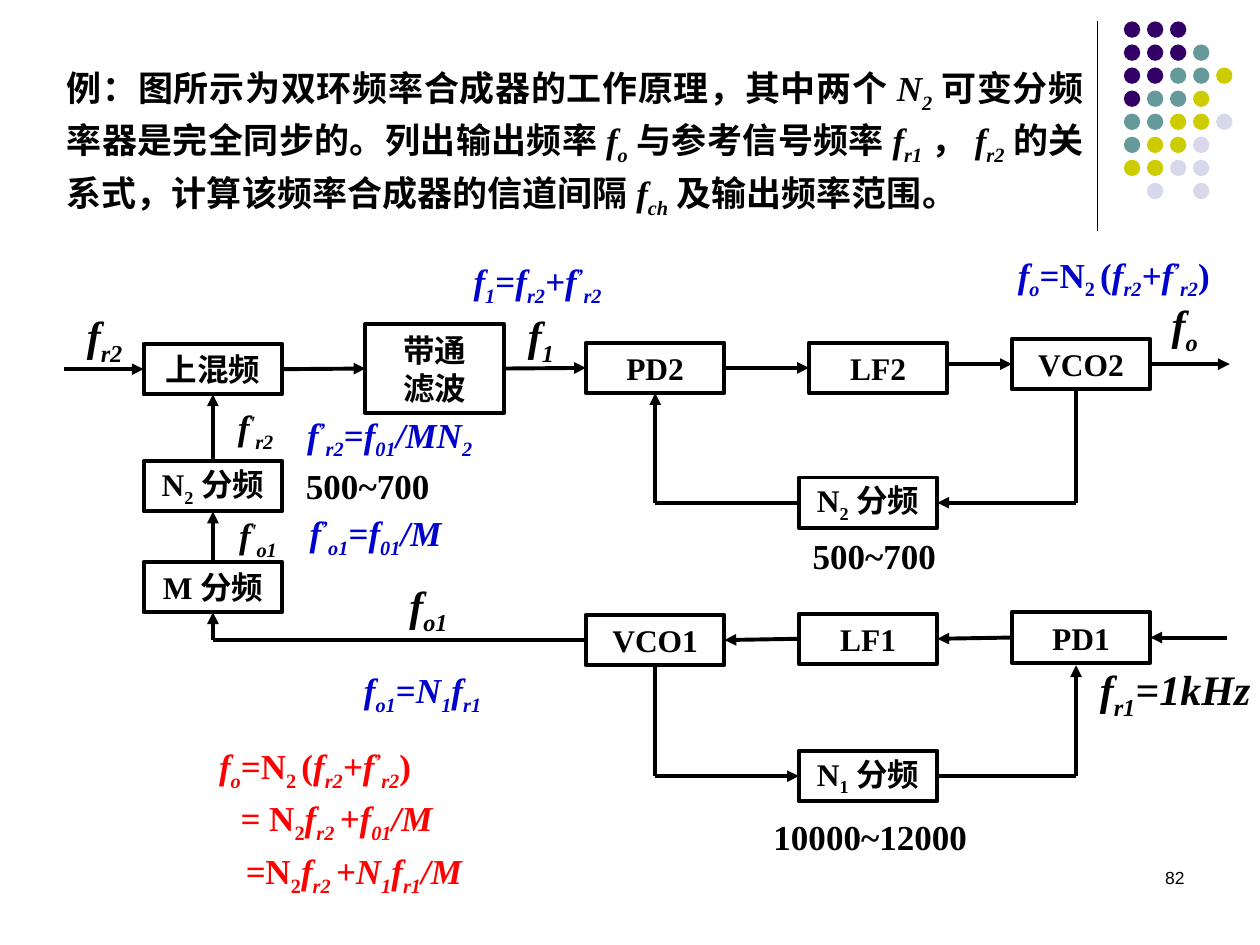
import pptx
import pptx.dml.color
import pptx.enum.shapes
import pptx.enum.text
import pptx.oxml
import pptx.oxml.ns
import pptx.util

Inches = pptx.util.Inches
Pt = pptx.util.Pt
RGBColor = pptx.dml.color.RGBColor
ALIGN = pptx.enum.text.PP_ALIGN
ANCHOR = pptx.enum.text.MSO_ANCHOR
SHAPE = pptx.enum.shapes.MSO_SHAPE
STRAIGHT = pptx.enum.shapes.MSO_CONNECTOR.STRAIGHT

BLACK = RGBColor(0x00, 0x00, 0x00)
WHITE = RGBColor(0xFF, 0xFF, 0xFF)
BLUE = RGBColor(0x00, 0x00, 0xCC)
RED = RGBColor(0xFF, 0x00, 0x00)
DOT_COLORS = {
    "P": RGBColor(0x33, 0x00, 0x66),
    "T": RGBColor(0x66, 0x99, 0x99),
    "Y": RGBColor(0xCC, 0xCC, 0x00),
    "L": RGBColor(0xD8, 0xD8, 0xEC),
}
DOT_ROWS = ["PPP", "PPPT", "PPTTY", "PTTY", "TTYYL", "TYYL", "YYLL", " L L"]
TOP, LEFT, BOTTOM, RIGHT = range(4)

# Markup in texts: *italic*, [subscript], <superscript>
BASELINES = {"[": -25000, "<": 30000, "]": 0, ">": 0}


def split_markup(text):
    """Return (text, italic, baseline) pieces of a marked-up line."""
    pieces, current, italic, baseline = [], "", False, 0
    for character in text:
        if character != "*" and character not in BASELINES:
            current += character
            continue
        if current:
            pieces.append((current, italic, baseline))
        current = ""
        if character == "*":
            italic = not italic
        else:
            baseline = BASELINES[character]
    if current:
        pieces.append((current, italic, baseline))
    return pieces


def write_text(shape, text, size=20, color=BLACK, bold=True, font="Times New Roman",
               align=ALIGN.LEFT, anchor=ANCHOR.TOP, spacing=None, indents=()):
    frame = shape.text_frame
    frame.word_wrap = True
    frame.auto_size = pptx.enum.text.MSO_AUTO_SIZE.NONE
    frame.vertical_anchor = anchor
    for index, line in enumerate(text.split("\n")):
        paragraph = frame.add_paragraph() if index else frame.paragraphs[0]
        paragraph.alignment = align
        if spacing:
            paragraph.line_spacing = Pt(spacing)
            paragraph.space_before = Pt(0)
        if indents:
            paragraph._p.get_or_add_pPr().set("marL", str(Inches(indents[index])))
        for piece, italic, baseline in split_markup(line):
            run = paragraph.add_run()
            run.text = piece
            run.font.name = font
            run.font.size = Pt(size)
            run.font.bold = bold
            run.font.italic = italic
            run.font.color.rgb = color
            if baseline:
                run._r.get_or_add_rPr().set("baseline", str(baseline))


def add_text(slide, text, left, top, width, height, **text_format):
    box = slide.shapes.add_textbox(Inches(left), Inches(top), Inches(width), Inches(height))
    write_text(box, text, **text_format)


def add_line(slide, start, end, width=2.25, arrow=False):
    """Draw a line; each end is an (x, y) point or a (shape, side) pair."""
    points = [(0, 0) if hasattr(place[0], "shape_type") else place for place in (start, end)]
    (x1, y1), (x2, y2) = points
    line = slide.shapes.add_connector(STRAIGHT, Inches(x1), Inches(y1), Inches(x2), Inches(y2))
    if hasattr(start[0], "shape_type"):
        line.begin_connect(*start)
    if hasattr(end[0], "shape_type"):
        line.end_connect(*end)
    line.line.color.rgb = BLACK
    line.line.width = Pt(width)
    if arrow:
        tail = pptx.oxml.parse_xml(
            '<a:tailEnd %s type="triangle"/>' % pptx.oxml.ns.nsdecls("a"))
        line.line._get_or_add_ln().append(tail)
    line._element.spPr.append(
        pptx.oxml.parse_xml("<a:effectLst %s/>" % pptx.oxml.ns.nsdecls("a")))


def add_decoration(slide, left, top, height):
    """Vertical rule with the dot pattern to its right."""
    add_line(slide, (left, top), (left, top + height), width=0.75)
    pitch, diameter = 0.183, Inches(0.13)
    for row, codes in enumerate(DOT_ROWS):
        for column, code in enumerate(codes):
            if code == " ":
                continue
            dot = slide.shapes.add_shape(
                SHAPE.OVAL, Inches(left + 0.21 + column * pitch),
                Inches(top + row * pitch), diameter, diameter)
            dot.shadow.inherit = False
            dot.fill.solid()
            dot.fill.fore_color.rgb = DOT_COLORS[code]
            dot.line.fill.background()


def add_question(slide, left, top, width, height):
    title = slide.shapes.title
    title.left, title.top = Inches(left), Inches(top)
    title.width, title.height = Inches(width), Inches(height)
    write_text(title, "例：图所示为双环频率合成器的工作原理，其中两个*N[2]*可变分频率器是完全同步的。"
               "列出输出频率*f[o]*与参考信号频率*f[r1]*，*f[r2]*的关系式，"
               "计算该频率合成器的信道间隔*f[ch]*及输出频率范围。",
               align=ALIGN.JUSTIFY, spacing=30)


def add_block(slide, text, left, top, height):
    block = slide.shapes.add_shape(
        SHAPE.RECTANGLE, Inches(left), Inches(top), Inches(1.1), Inches(height))
    block.shadow.inherit = False
    block.fill.solid()
    block.fill.fore_color.rgb = WHITE
    block.line.color.rgb = BLACK
    block.line.width = Pt(2.25)
    write_text(block, text, size=18, align=ALIGN.CENTER, anchor=ANCHOR.MIDDLE)
    return block


def add_block_diagram(slide, left, top):
    # Blocks: text, left, top, height
    blocks = {
        "mixer": ("上混频", 0.64, 0.83, 0.4),
        "mixer divider": ("N[2]分频", 0.64, 1.76, 0.4),
        "M divider": ("M分频", 0.64, 2.56, 0.4),
        "filter": ("带通\n滤波", 2.4, 0.67, 0.71),
        "PD2": ("PD2", 4.15, 0.82, 0.4),
        "LF2": ("LF2", 5.92, 0.82, 0.4),
        "VCO2": ("VCO2", 7.53, 0.79, 0.4),
        "N2 divider": ("N[2]分频", 5.84, 1.89, 0.4),
        "VCO1": ("VCO1", 4.15, 2.98, 0.4),
        "LF1": ("LF1", 5.84, 2.97, 0.4),
        "PD1": ("PD1", 7.53, 2.96, 0.4),
        "N1 divider": ("N[1]分频", 5.84, 4.06, 0.4),
    }
    shapes = {name: add_block(slide, text, left + x, top + y, height)
              for name, (text, x, y, height) in blocks.items()}

    # Signal routes, each with an arrowhead on its last segment
    routes = [
        [(0.01, 1.03), ("mixer", LEFT)],
        [("mixer", RIGHT), ("filter", LEFT)],
        [("filter", RIGHT), ("PD2", LEFT)],
        [("PD2", RIGHT), ("LF2", LEFT)],
        [(7.02, 0.99), ("VCO2", LEFT)],
        [("VCO2", RIGHT), (9.26, 0.99)],
        [(8.04, 1.19), (8.04, 2.09), ("N2 divider", RIGHT)],
        [("N2 divider", LEFT), (4.7, 2.09), ("PD2", BOTTOM)],
        [("mixer divider", TOP), ("mixer", BOTTOM)],
        [("M divider", TOP), ("mixer divider", BOTTOM)],
        [("VCO1", LEFT), (1.19, 3.18), ("M divider", BOTTOM)],
        [("LF1", LEFT), ("VCO1", RIGHT)],
        [("PD1", LEFT), ("LF1", RIGHT)],
        [("VCO1", BOTTOM), (4.7, 4.26), ("N1 divider", LEFT)],
        [("N1 divider", RIGHT), (8.04, 4.26), (8.04, 3.38)],
        [(9.24, 3.16), ("PD1", RIGHT)],
    ]
    for route in routes:
        places = [(shapes[a], b) if a in shapes else (left + a, top + b) for a, b in route]
        for index in range(1, len(places)):
            add_line(slide, places[index - 1], places[index], arrow=index == len(places) - 1)

    # Labels: text, left, top, width, size, colour
    labels = [
        ("*f[r2]*", 0.09, 0.51, 0.55, 24, BLACK),
        ("*f<'>[r2]*", 1.29, 1.27, 0.61, 20, BLACK),
        ("*f<'>[o1]*", 1.3, 2.13, 0.61, 20, BLACK),
        ("*f[o1]*", 2.65, 2.65, 0.61, 24, BLACK),
        ("*f[r1]=1kHz*", 8.13, 3.32, 1.59, 24, BLACK),
        ("*f[o]*", 8.7, 0.42, 0.61, 24, BLACK),
        ("*f[1]*", 3.59, 0.51, 0.61, 24, BLACK),
        ("500~700", 5.85, 2.29, 2.19, 20, BLACK),
        ("500~700", 1.83, 1.74, 2.19, 20, BLACK),
        ("10000~12000", 5.54, 4.52, 2.19, 20, BLACK),
        ("*f[o1]*=*N[1]f[r1]*", 2.29, 3.36, 2.6, 20, BLUE),
        ("*f<’>[r2]*=*f[01]/MN[2]*", 1.84, 1.33, 2.6, 20, BLUE),
        ("*f<’>[o1]*=*f[01]/M*", 1.86, 2.11, 2.6, 20, BLUE),
        ("*f[1]*=*f[r2]+f<’>[r2]*", 3.16, 0.11, 1.42, 20, BLUE),
        ("*f[o]*=N[2 ](*f[r2]+f<’>[r2]*)", 7.48, 0.06, 1.94, 20, BLUE),
    ]
    for text, x, y, width, size, color in labels:
        add_text(slide, text, left + x, top + y, width, 0.5 if size == 24 else 0.44,
                 size=size, color=color)


def add_derivation(slide, left, top, width, height):
    add_text(slide, "*f[o]*=N[2 ](*f[r2]+f<’>[r2]*)\n"
             "*=* N[2]*f[r2 ]+f[01]/M*\n"
             "*=*N[2]*f[r2 ]+N[1]f[r1]/M*",
             left, top, width, height, color=RED, spacing=30, indents=(0, 0.17, 0.21))


def main():
    presentation = pptx.Presentation()
    presentation.slide_width, presentation.slide_height = Inches(10), Inches(7.5)
    slide = presentation.slides.add_slide(presentation.slide_layouts[5])
    add_decoration(slide, 8.71, 0.17, 1.66)
    add_question(slide, 0.43, 0.44, 8.27, 1.32)
    add_block_diagram(slide, 0.5, 1.9)
    add_derivation(slide, 1.64, 5.82, 3.01, 1.68)
    # Slide number
    add_text(slide, "82", 7.17, 6.83, 2.33, 0.5, size=10, bold=False,
             font="Arial", align=ALIGN.RIGHT)
    presentation.save("out.pptx")


if __name__ == "__main__":
    main()
